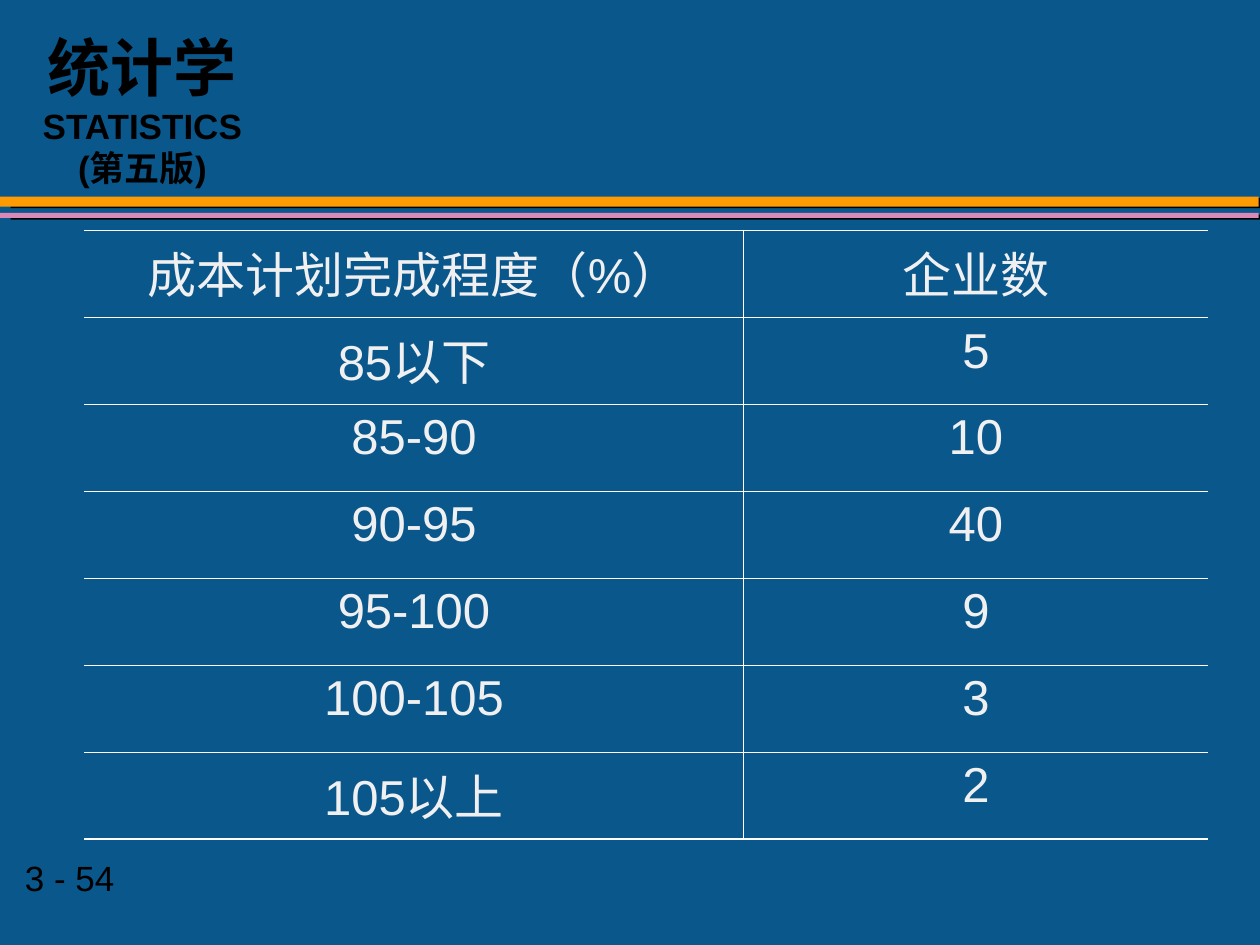
from lxml import etree
from pptx import Presentation
from pptx.dml.color import RGBColor
from pptx.enum.shapes import MSO_SHAPE
from pptx.enum.text import PP_ALIGN
from pptx.oxml import parse_xml
from pptx.oxml.ns import nsdecls, qn
from pptx.util import Inches, Pt

RECTANGLE = MSO_SHAPE.RECTANGLE
LEFT, CENTER = PP_ALIGN.LEFT, PP_ALIGN.CENTER

BACKGROUND = RGBColor(0x0A, 0x57, 0x8C)
ORANGE = RGBColor(0xFE, 0x9B, 0x03)
PINK = RGBColor(0xD9, 0x89, 0xB8)
BLACK = RGBColor(0, 0, 0)
PALE = RGBColor(0xF0, 0xF0, 0xF0)
WHITE = RGBColor(0xFF, 0xFF, 0xFF)

BOOK_TITLE = [[("统计学", 36), ("STATISTICS", 20)], [("(第五版)", 20)]]
PAGE_NUMBER = "3 - 54"
RULES = [(1.56, 0.08, ORANGE), (1.69, 0.04, PINK)]
COST_PLAN = [
    ("成本计划完成程度（%）", "企业数"),
    ("85以下", "5"),
    ("85-90", "10"),
    ("90-95", "40"),
    ("95-100", "9"),
    ("100-105", "3"),
    ("105以上", "2"),
]
COLUMN_WIDTHS = [5.23, 3.69]
ROW_HEIGHT = 0.69
THIN, THICK = 0.45, 1.08


def write(paragraph, text, *, size, color, bold=False, align=LEFT):
    paragraph.alignment = align
    run = paragraph.add_run()
    run.text = text
    run.font.name = "Arial"
    run.font.size = Pt(size)
    run.font.bold = bold
    run.font.color.rgb = color


def add_rule(slide, top, height, color):
    rule = slide.shapes.add_shape(
        RECTANGLE, 0, Inches(top), Inches(9.99), Inches(height))
    rule.fill.solid()
    rule.fill.fore_color.rgb = color
    rule.line.fill.background()
    rule.shadow.inherit = False
    effects = rule._element.spPr.find(qn("a:effectLst"))
    effects.append(parse_xml(
        f'<a:outerShdw {nsdecls("a")} blurRad="0" dist="{Pt(6.1)}" '
        f'dir="{9 * 60000}" algn="ctr" rotWithShape="0">'
        f'<a:srgbClr val="{BLACK}"/></a:outerShdw>'))


def add_border(cell, side, width):
    line = etree.SubElement(cell._tc.get_or_add_tcPr(), qn(f"a:ln{side}"))
    if not width:
        etree.SubElement(line, qn("a:noFill"))
        return
    line.set("w", str(Pt(width)))
    fill = etree.SubElement(line, qn("a:solidFill"))
    etree.SubElement(fill, qn("a:srgbClr"), val=str(WHITE))


def add_cost_table(slide):
    row_count, column_count = len(COST_PLAN), len(COLUMN_WIDTHS)
    table = slide.shapes.add_table(
        row_count, column_count, Inches(0.67), Inches(1.83),
        Inches(sum(COLUMN_WIDTHS)), Inches(ROW_HEIGHT * row_count)).table
    table.first_row = table.horz_banding = False
    for column, width in zip(table.columns, COLUMN_WIDTHS):
        column.width = Inches(width)
    for r, values in enumerate(COST_PLAN):
        table.rows[r].height = Inches(ROW_HEIGHT)
        for c, value in enumerate(values):
            cell = table.cell(r, c)
            add_border(cell, "L", THIN if c > 0 else 0)
            add_border(cell, "R", THIN if c < column_count - 1 else 0)
            add_border(cell, "T", THIN if r > 0 else THICK)
            add_border(cell, "B", THIN if r < row_count - 1 else THICK)
            cell.fill.background()
            write(cell.text_frame.paragraphs[0], value,
                  size=28, color=PALE, align=CENTER)


def main():
    deck = Presentation()
    deck.slide_width, deck.slide_height = Inches(10), Inches(7.5)
    slide = deck.slides.add_slide(deck.slide_layouts[6])
    slide.background.fill.solid()
    slide.background.fill.fore_color.rgb = BACKGROUND

    for top, height, color in RULES:
        add_rule(slide, top, height, color)

    page = slide.shapes.add_textbox(
        Inches(0.1), Inches(6.75), Inches(1.87), Inches(0.43)).text_frame
    page.word_wrap = True
    write(page.paragraphs[0], PAGE_NUMBER, size=20, color=BLACK)

    header = slide.shapes.add_textbox(
        Inches(0.17), Inches(0.11), Inches(1.92), Inches(1.43)).text_frame
    header.word_wrap = True
    header.margin_top = Inches(0.12)
    for i, runs in enumerate(BOOK_TITLE):
        paragraph = header.add_paragraph() if i else header.paragraphs[0]
        for text, size in runs:
            write(paragraph, text, size=size, color=BLACK, bold=True,
                  align=CENTER)

    add_cost_table(slide)
    deck.save("out.pptx")


if __name__ == "__main__":
    main()
